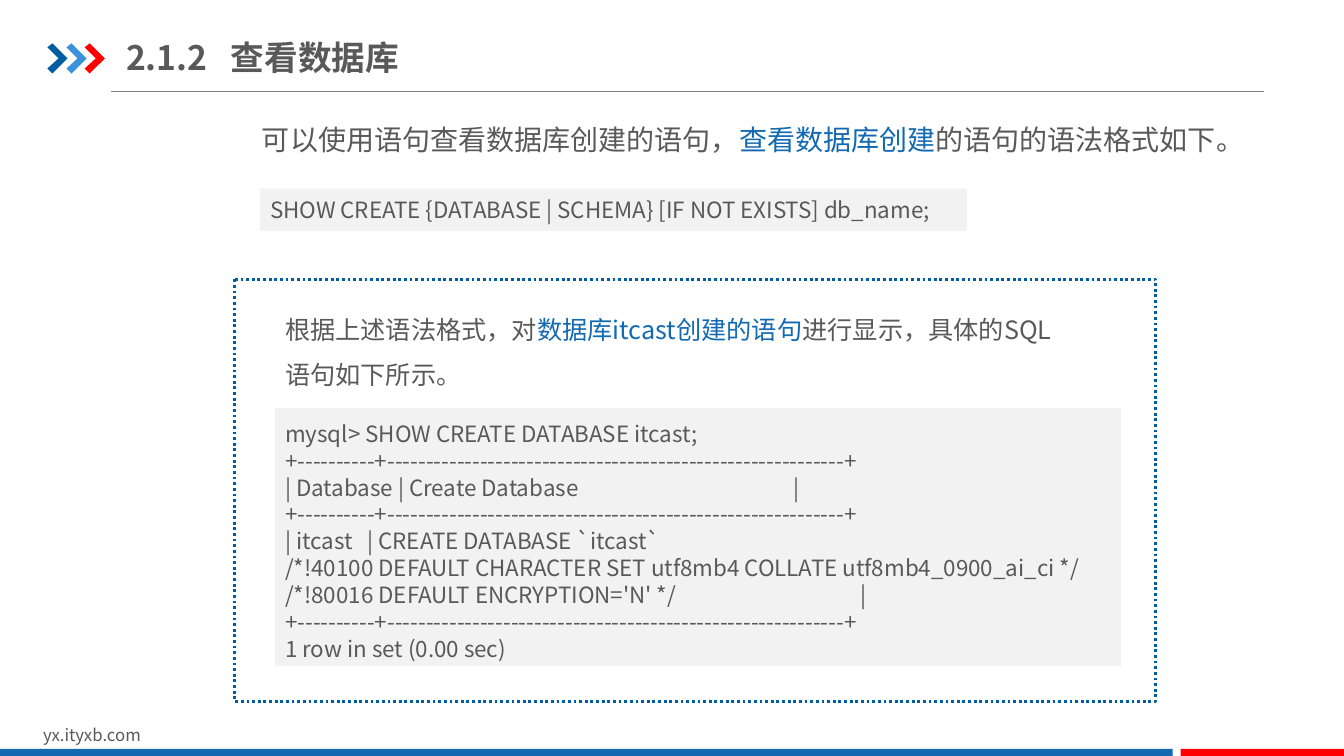
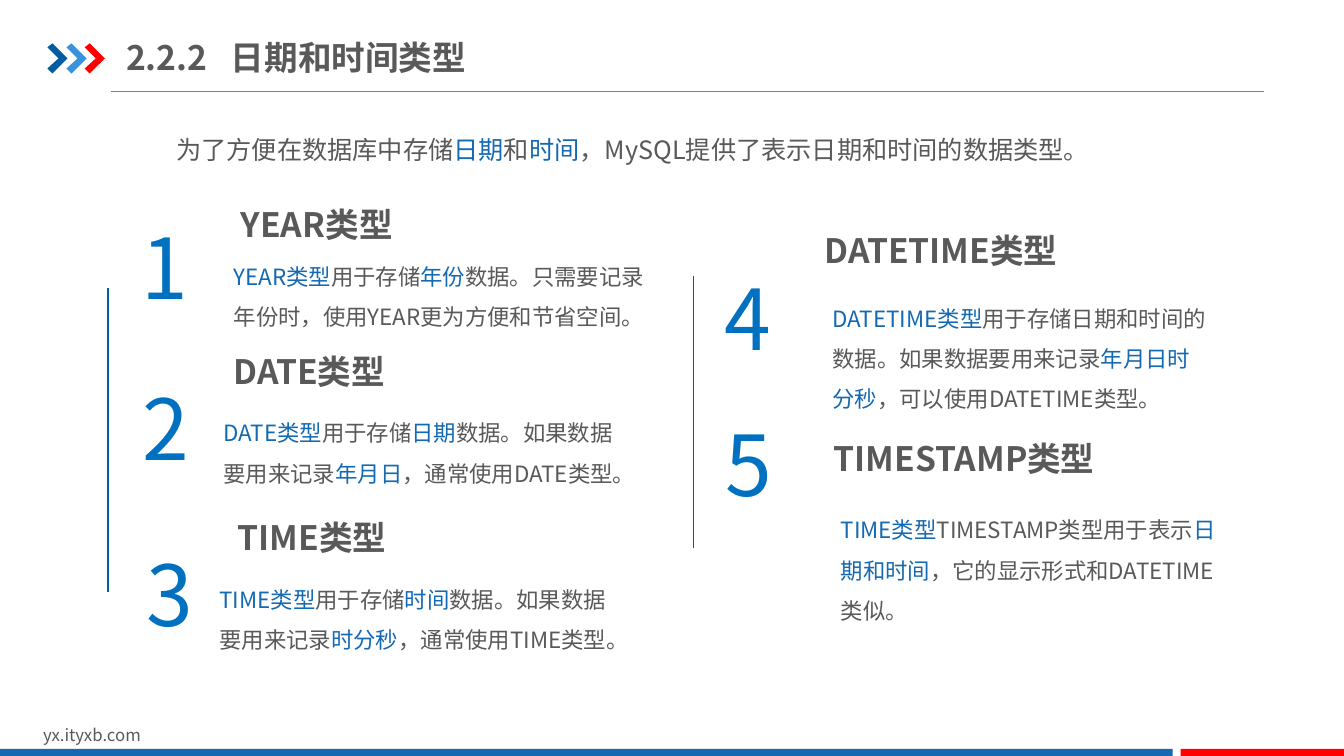
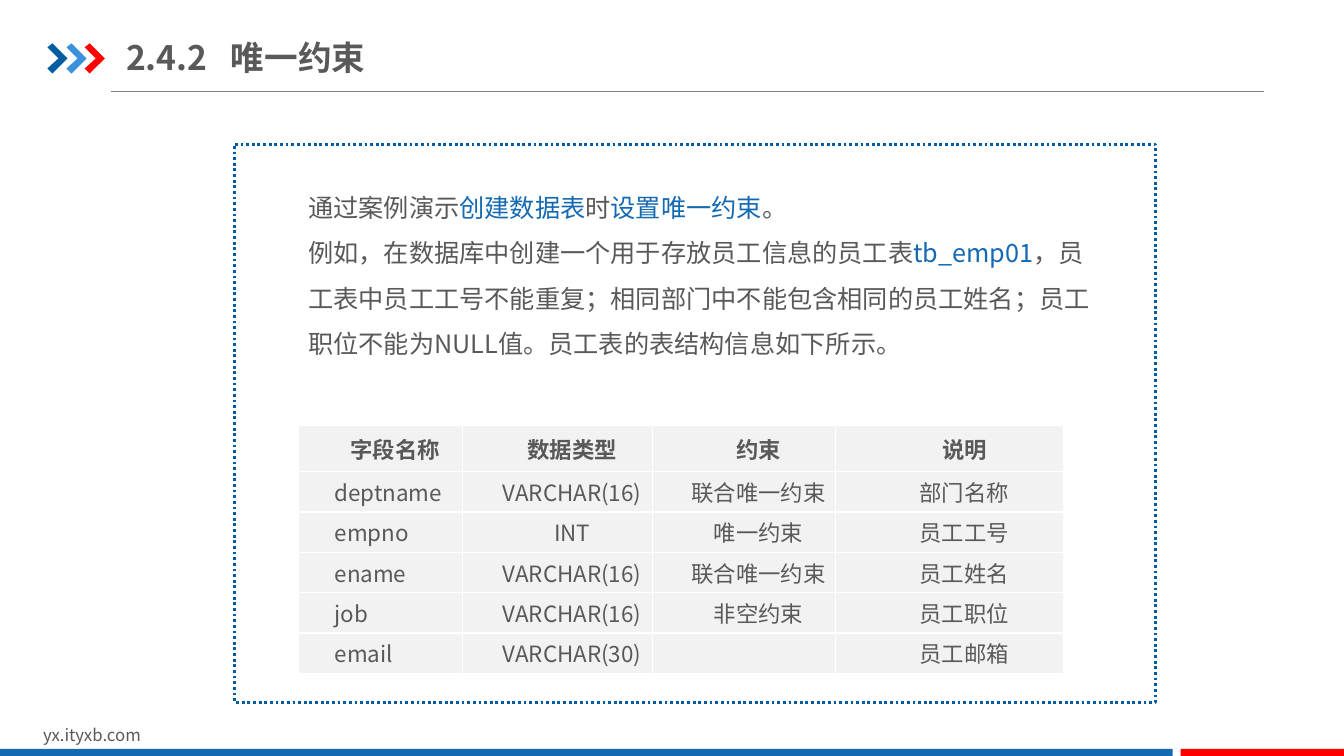
from lxml import etree
from pptx import Presentation
from pptx.dml.color import RGBColor
from pptx.enum import dml, shapes, text
from pptx.oxml import ns
from pptx.util import Inches, Pt

FONT = "Noto Sans CJK SC"
GREY = RGBColor(0x59, 0x59, 0x59)
RULE_GREY = RGBColor(0x80, 0x80, 0x80)
PALE = RGBColor(0xF2, 0xF2, 0xF2)
WHITE = RGBColor(0xFF, 0xFF, 0xFF)
BLUE = RGBColor(0x13, 0x69, 0xB2)
DEEP_BLUE = RGBColor(0x00, 0x5D, 0xA2)
SKY_BLUE = RGBColor(0x39, 0x92, 0xDB)
NUMBER_BLUE = RGBColor(0x00, 0x70, 0xC0)
RED = RGBColor(0xFF, 0x00, 0x00)

TEXT_INSETS = (0.1, 0.05, 0.1, 0.05)
MIDDLE = text.MSO_ANCHOR.MIDDLE
MARK = "^"  # encloses highlighted words

TABLE_RULE = "+----------+-----------------------------------------------------------+"
CREATE_RESULT = [
    "mysql> SHOW CREATE DATABASE itcast;",
    TABLE_RULE,
    "| Database | Create Database                                           |",
    TABLE_RULE,
    "| itcast   | CREATE DATABASE `itcast`",
    "/*!40100 DEFAULT CHARACTER SET utf8mb4 COLLATE utf8mb4_0900_ai_ci */",
    "/*!80016 DEFAULT ENCRYPTION='N' */                                     |",
    TABLE_RULE,
    "1 row in set (0.00 sec)",
]

# number, its place; heading, its place; description, its place and width
DATE_TYPES = [
    ("1", (1.35, 2.09), "YEAR类型", (2.29, 1.97),
     "^YEAR类型^用于存储^年份^数据。只需要记录年份时，使用YEAR更为方便和节省空间。",
     (2.22, 2.43, 4.4)),
    ("2", (1.36, 3.69), "DATE类型", (2.22, 3.43),
     "^DATE类型^用于存储^日期^数据。如果数据要用来记录^年月日^，通常使用DATE类型。",
     (2.12, 3.98, 4.2)),
    ("3", (1.4, 5.33), "TIME类型", (2.26, 5.08),
     "^TIME类型^用于存储^时间^数据。如果数据要用来记录^时分秒^，通常使用TIME类型。",
     (2.08, 5.63, 4.2)),
    ("4", (7.14, 2.59), "DATETIME类型", (8.08, 2.23),
     "^DATETIME类型^用于存储日期和时间的数据。如果数据要用来记录^年月日时分秒^，可以使用DATETIME类型。",
     (8.16, 2.84, 3.91)),
    ("5", (7.15, 4.04), "TIMESTAMP类型", (8.17, 4.3),
     "^TIME类型^TIMESTAMP类型用于表示^日期和时间^，它的显示形式和DATETIME类似。",
     (8.24, 4.94, 3.97)),
]

EMPLOYEE_FIELDS = [
    ("字段名称", "数据类型", "约束", "说明"),
    ("deptname", "VARCHAR(16)", "联合唯一约束", "部门名称"),
    ("empno", "INT", "唯一约束", "员工工号"),
    ("ename", "VARCHAR(16)", "联合唯一约束", "员工姓名"),
    ("job", "VARCHAR(16)", "非空约束", "员工职位"),
    ("email", "VARCHAR(30)", "", "员工邮箱"),
]


# Text
def format_span(span, size, color=GREY, bold=False):
    span.font.size = Pt(size)
    span.font.bold = bold
    span.font.color.rgb = color
    span.font.name = FONT
    etree.SubElement(span._r.get_or_add_rPr(), ns.qn("a:ea"), typeface=FONT)


def write(frame, lines, size, color=GREY, bold=False, spacing=None,
          insets=TEXT_INSETS, anchor=text.MSO_ANCHOR.TOP):
    frame.word_wrap = True
    frame.vertical_anchor = anchor
    (frame.margin_left, frame.margin_top,
     frame.margin_right, frame.margin_bottom) = map(Inches, insets)
    for index, line in enumerate(lines):
        para = frame.add_paragraph() if index else frame.paragraphs[0]
        para.alignment = text.PP_ALIGN.LEFT
        if spacing:
            para.line_spacing = spacing
        for part, words in enumerate(line.split(MARK)):
            if words:
                span = para.add_run()
                span.text = words
                format_span(span, size, BLUE if part % 2 else color, bold)


def add_text(page, place, lines, size, **style):
    box = page.shapes.add_textbox(*map(Inches, place))
    write(box.text_frame, lines, size, **style)
    return box


# Shapes and lines
def paint(shape, fill):
    shape.shadow.inherit = False
    shape.fill.solid()
    shape.fill.fore_color.rgb = fill
    shape.line.fill.background()
    return shape


def add_block(page, place, fill, kind=shapes.MSO_SHAPE.RECTANGLE):
    return paint(page.shapes.add_shape(kind, *map(Inches, place)), fill)


def add_line(page, start, end, color, width):
    line = page.shapes.add_connector(
        shapes.MSO_CONNECTOR.STRAIGHT, *map(Inches, start + end))
    line.line.color.rgb = color
    line.line.width = Pt(width)
    etree.SubElement(line.element.spPr, ns.qn("a:effectLst"))
    return line


def add_arrow(page, left, color):
    outline = [(0, 0.47), (0.05, 0.43), (0.2, 0.58), (0.05, 0.73),
               (0, 0.68), (0.11, 0.58)]
    points = [(Inches(left + x), Inches(y)) for x, y in outline]
    builder = page.shapes.build_freeform(*points[0])
    builder.add_line_segments(points[1:], close=True)
    return paint(builder.convert_to_shape(), color)


def add_dotted_panel(page, top, height):
    panel = add_block(page, (2.33, top, 9.13, height), WHITE,
                      shapes.MSO_SHAPE.FLOWCHART_PROCESS)
    panel.line.color.rgb = DEEP_BLUE
    panel.line.width = Pt(2)
    panel.line.dash_style = dml.MSO_LINE.ROUND_DOT


def add_code(page, place, lines, top_inset=0.05):
    block = add_block(page, place, PALE)
    write(block.text_frame, lines, 16,
          insets=(0.1, top_inset, 0.1, 0.05), anchor=MIDDLE)


# Table
def add_border(cell, color, width):
    properties = cell._tc.get_or_add_tcPr()
    for side in ("a:lnL", "a:lnR", "a:lnT", "a:lnB"):
        edge = etree.SubElement(properties, ns.qn(side), w=str(Pt(width)))
        fill = etree.SubElement(edge, ns.qn("a:solidFill"))
        etree.SubElement(fill, ns.qn("a:srgbClr"), val=str(color))


def fill_cell(cell, words, header, first_column):
    add_border(cell, WHITE, 1)
    cell.fill.solid()
    cell.fill.fore_color.rgb = PALE
    cell.vertical_anchor = MIDDLE
    cell.margin_left = cell.margin_right = Inches(0.07)
    cell.margin_top = cell.margin_bottom = 0
    if not words:
        return
    cell.text_frame.text = words
    para = cell.text_frame.paragraphs[0]
    justified = first_column and not header
    para.alignment = (text.PP_ALIGN.JUSTIFY if justified
                      else text.PP_ALIGN.CENTER)
    para._p.get_or_add_pPr().set("indent", str(Inches(0.29)))
    format_span(para.runs[0], 16, bold=header)


def add_field_table(page, left, top, widths, rows):
    heights = [0.46] + [0.4] * (len(rows) - 1)
    frame = page.shapes.add_table(
        len(rows), len(widths), Inches(left), Inches(top),
        Inches(sum(widths)), Inches(sum(heights)))
    table = frame.table
    table.first_row = table.horz_banding = False
    for column, width in zip(table.columns, widths):
        column.width = Inches(width)
    for r, (row, height) in enumerate(zip(rows, heights)):
        table.rows[r].height = Inches(height)
        for c, words in enumerate(row):
            fill_cell(table.cell(r, c), words, r == 0, c == 0)


# Shared frame
def build_layout(layout, page):
    """Draw the header and footer on the page, then move them to its layout."""
    for holder in list(layout.placeholders):
        if holder.placeholder_format.idx:
            layout.shapes.element.remove(holder.element)
    parts = [add_line(page, (1.1, 0.91), (12.54, 0.91), RULE_GREY, 0.75)]
    for left, color in ((0.47, DEEP_BLUE), (0.66, SKY_BLUE), (0.84, RED)):
        parts.append(add_arrow(page, left, color))
    parts.append(add_text(page, (0.33, 7.14, 3.18, 0.3), ["yx.ityxb.com"], 12))
    parts.append(add_block(page, (0, 7.43, 11.63, 0.09), BLUE))
    parts.append(add_block(page, (11.71, 7.43, 1.63, 0.09), RED))
    for part in parts:
        layout.shapes.element.append(part.element)


def set_title(page, number, name):
    title = page.shapes.title
    title.left, title.top, title.width, title.height = map(
        Inches, (1.25, 0.29, 4.26, 0.55))
    frame = title.text_frame
    frame.auto_size = text.MSO_AUTO_SIZE.NONE
    properties = frame.paragraphs[0]._p.get_or_add_pPr()
    tabs = etree.SubElement(properties, ns.qn("a:tabLst"))
    etree.SubElement(tabs, ns.qn("a:tab"), pos=str(Inches(1.04)), algn="l")
    write(frame, [f"{number}\t{name}"], 24, bold=True,
          insets=(0, 0.07, 0, 0.07), anchor=MIDDLE)


# Slides
def build_show_database(page):
    set_title(page, "2.1.2", "查看数据库")
    add_text(page, (2.5, 1.17, 9.92, 0.44),
             ["可以使用语句查看数据库创建的语句，^查看数据库创建^的语句的语法格式如下。"], 20)
    add_code(page, (2.58, 1.87, 7.01, 0.42),
             ["SHOW CREATE {DATABASE | SCHEMA} [IF NOT EXISTS] db_name;"])
    add_dotted_panel(page, 2.77, 4.19)
    add_text(page, (2.73, 2.92, 8, 1.01),
             ["根据上述语法格式，对^数据库itcast创建的语句^进行显示，具体的SQL语句如下所示。"],
             18, spacing=1.5)
    add_code(page, (2.73, 4.05, 8.39, 2.56), CREATE_RESULT, top_inset=0.12)


def build_date_types(page):
    set_title(page, "2.2.2", "日期和时间类型")
    add_text(page, (1.65, 1.13, 10.02, 0.55),
             ["为了方便在数据库中存储^日期^和^时间^，MySQL提供了表示日期和时间的数据类型。"],
             18, spacing=1.5)
    for x, top, bottom in ((1.07, 2.86, 5.87), (6.88, 2.74, 5.44)):
        add_line(page, (x, top), (x, bottom), DEEP_BLUE, 1)
    for number, spot, heading, heading_spot, words, place in DATE_TYPES:
        add_text(page, spot + (0.73, 1.17), [number], 60,
                 color=NUMBER_BLUE, insets=(0.05,) * 4)
        add_text(page, heading_spot + (3.06, 0.5), [heading], 24, bold=True)
        add_text(page, place + (0.91,), [words], 16, spacing=1.5)


def build_unique_constraint(page):
    set_title(page, "2.4.2", "唯一约束")
    add_dotted_panel(page, 1.43, 5.54)
    add_text(page, (2.96, 1.71, 8, 1.92), [
        "通过案例演示^创建数据表^时^设置唯一约束^。",
        "例如，在数据库中创建一个用于存放员工信息的员工表^tb_emp01^，"
        "员工表中员工工号不能重复；相同部门中不能包含相同的员工姓名；"
        "员工职位不能为NULL值。员工表的表结构信息如下所示。",
    ], 18, spacing=1.5)
    add_field_table(page, 2.96, 4.22, (1.63, 1.88, 1.82, 2.26),
                    EMPLOYEE_FIELDS)


def main():
    deck = Presentation()
    deck.slide_width, deck.slide_height = Inches(13.33), Inches(7.5)
    layout = deck.slide_layouts[5]  # title only
    builders = (build_show_database, build_date_types, build_unique_constraint)
    pages = [deck.slides.add_slide(layout) for _ in builders]
    build_layout(layout, pages[0])
    for build, page in zip(builders, pages):
        build(page)
    deck.save("out.pptx")


if __name__ == "__main__":
    main()
